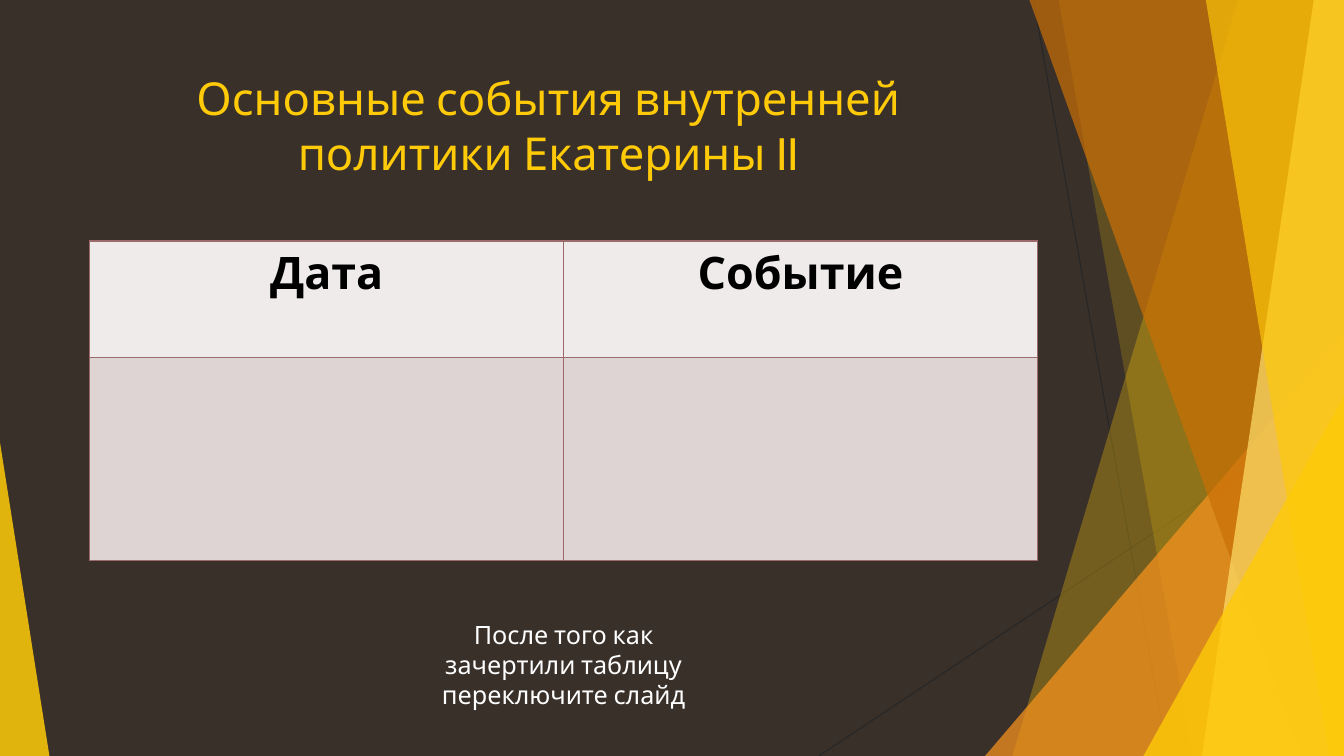
import lxml.etree
import pptx
import pptx.util
import pptx.dml.color
import pptx.enum.shapes
import pptx.enum.text
import pptx.oxml
import pptx.oxml.ns
from pptx.util import Inches, Pt

RGB = pptx.dml.color.RGBColor
SHAPE = pptx.enum.shapes.MSO_SHAPE
LINE = pptx.enum.shapes.MSO_CONNECTOR.STRAIGHT
ALIGN = pptx.enum.text.PP_ALIGN
qn = pptx.oxml.ns.qn

# Content
FONT = "Cabin"
TITLE = "Основные события внутренней политики Екатерины II"
NOTE = "После того как зачертили таблицу переключите слайд"
HEADS = ["Дата", "Событие"]
ROWS = [HEADS, ["", ""]]

# Colours
BACK = RGB(0x39, 0x30, 0x2A)
DARK = RGB(0x26, 0x26, 0x26)
GOLD = RGB(0xFF, 0xCA, 0x08)
ORANGE = RGB(0xF8, 0x93, 0x1D)
BROWN = RGB(0xCA, 0x6F, 0x06)
PALE = RGB(0xFF, 0xDF, 0x6B)
BLACK = RGB(0, 0, 0)
WHITE = RGB(0xFF, 0xFF, 0xFF)
EDGE = RGB(0x9C, 0x6A, 0x6A)
FILLS = [RGB(0xEF, 0xEB, 0xEB), RGB(0xDE, 0xD4, 0xD4)]

# Geometry in inches
WIDE, HIGH = 13.33, 7.5
COL = 4.7
TALL = [1.16, 2.01]
RAYS = [(10.25, 0, 11.58, HIGH), (WIDE, 4.03, 8.12, HIGH)]
# Facets from back to front. Band: top left x, bottom left x, out to the right edge.
# Peak: left, top, width, apex position, down to the bottom edge.
FACETS = [
    ("band", (12.28, 10.04), GOLD, 30),
    ("band", (10.5, 11.83), GOLD, 20),
    ("peak", (9.77, 3.33, 3.56, 1), ORANGE, 72),
    ("band", (10.21, 12.91), BROWN, 70),
    ("band", (13.03, 11.92), PALE, 70),
    ("band", (11.96, 13.18), GOLD, 65),
    ("peak", (11.34, 3.93, 1.99, 1), GOLD, 80),
    ("peak", (0, 4.39, 0.49, 0), GOLD, 85),
]

deck = pptx.Presentation()
deck.slide_width, deck.slide_height = Inches(WIDE), Inches(HIGH)
slide = deck.slides.add_slide(deck.slide_layouts[6])
slide.background.fill.solid()
slide.background.fill.fore_color.rgb = BACK
shapes = slide.shapes


def band(top, base):
    dots = [(top, 0), (WIDE, 0), (WIDE, HIGH), (base, HIGH)]
    dots = [(Inches(x), Inches(y)) for x, y in dots]
    pen = shapes.build_freeform(*dots[0])
    pen.add_line_segments(dots[1:], close=True)
    return pen.convert_to_shape()


def peak(left, top, width, apex):
    shape = shapes.add_shape(SHAPE.ISOSCELES_TRIANGLE, Inches(left), Inches(top),
                             Inches(width), Inches(HIGH - top))
    shape.adjustments[0] = apex
    return shape


def write(frame, text, size, color, bold=False):
    frame.word_wrap = True
    para = frame.paragraphs[0]
    para.text = text
    para.alignment = ALIGN.CENTER
    para.font.name = FONT
    para.font.size = Pt(size)
    para.font.color.rgb = color
    para.font.bold = bold


def label(left, top, width, height, text, size, color):
    box = shapes.add_textbox(Inches(left), Inches(top), Inches(width), Inches(height))
    write(box.text_frame, text, size, color)
    return box


def border(cell):
    props = cell._tc.get_or_add_tcPr()
    for i, side in enumerate(("lnL", "lnR", "lnT", "lnB")):
        props.insert(i, pptx.oxml.parse_xml(
            f'<a:{side} xmlns:a="http://schemas.openxmlformats.org/drawingml/2006/main"'
            f' w="{Pt(1)}"><a:solidFill><a:srgbClr val="{EDGE}"/></a:solidFill></a:{side}>'))


# Thin rays
for x1, y1, x2, y2 in RAYS:
    ray = shapes.add_connector(LINE, Inches(x1), Inches(y1), Inches(x2), Inches(y2))
    ray.line.color.rgb = DARK
    ray.line.width = Pt(0.75)
    lxml.etree.SubElement(ray._element.spPr, qn("a:effectLst"))

# Translucent facets
MAKERS = {"band": band, "peak": peak}
for kind, size, color, alpha in FACETS:
    facet = MAKERS[kind](*size)
    facet.shadow.inherit = False
    facet.line.fill.background()
    facet.fill.solid()
    facet.fill.fore_color.rgb = color
    tint = facet._element.spPr.find(qn("a:solidFill")).find(qn("a:srgbClr"))
    lxml.etree.SubElement(tint, qn("a:alpha"), val=str(alpha * 1000))

# Title
label(0.74, 0.65, 9.4, 1.44, TITLE, 32.4, GOLD)

# Table of dates and events
table = shapes.add_table(len(ROWS), len(HEADS), Inches(0.89), Inches(2.39),
                         Inches(COL * len(HEADS)), Inches(sum(TALL))).table
for col in table.columns:
    col.width = Inches(COL)
for r, row in enumerate(ROWS):
    table.rows[r].height = Inches(TALL[r])
    for c, text in enumerate(row):
        cell = table.cell(r, c)
        cell.fill.solid()
        cell.fill.fore_color.rgb = FILLS[r]
        border(cell)
        if text:
            write(cell.text_frame, text, 32, BLACK, bold=True)

# Closing note
note = label(4.04, 6.09, 3.1, 1.01, NOTE, 18, WHITE)
note.text_frame.auto_size = pptx.enum.text.MSO_AUTO_SIZE.SHAPE_TO_FIT_TEXT

deck.save("out.pptx")
